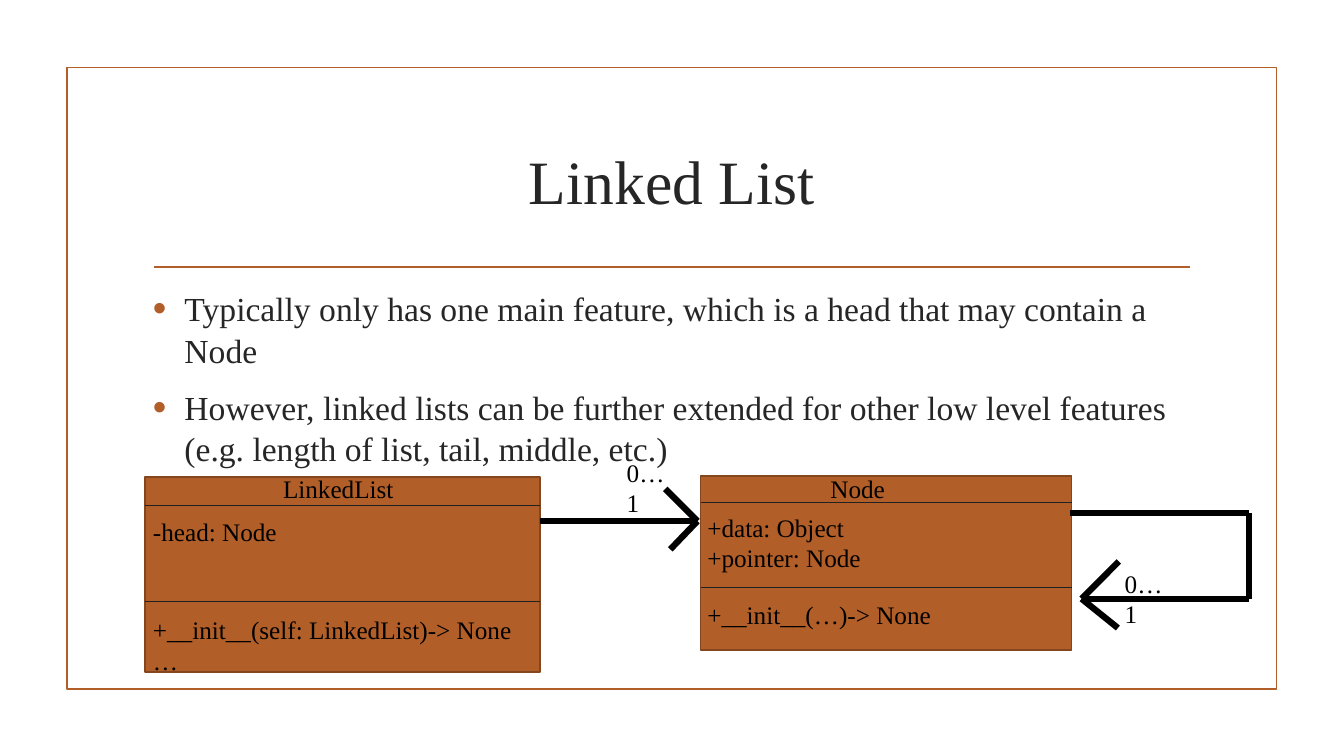
from lxml import etree
from pptx import Presentation
from pptx.dml.color import RGBColor
from pptx.enum import shapes, text
from pptx.oxml import ns
from pptx.util import Pt

FONT = "Times New Roman"
HUES = {"rust": "B15E28", "edge": "83461E", "rule": "212121",
        "ink": "262626", "black": "000000"}

# Content
TITLE = "Linked List"
POINTS = [
    "Typically only has one main feature, which is a head that may contain a Node",
    "However, linked lists can be further extended for other low level features "
    "(e.g. length of list, tail, middle, etc.)",
]
# Each class: box, divider heights, then texts as (left, top, width, lines)
CLASSES = [
    {"box": (103.7, 340.6, 282, 139.6), "rules": (361.4, 429.8),
     "texts": [(195.1, 334.8, 111, ["LinkedList"]),
               (102.2, 365, 137, ["-head: Node"]),
               (102.2, 435.6, 304, ["+__init__(self: LinkedList)-> None", "…"])]},
    {"box": (500.4, 339.8, 265, 124.6), "rules": (358.6, 419.8),
     "texts": [(586.1, 334.8, 80, ["Node"]),
               (498.2, 362.2, 129, ["+data: Object", "+pointer: Node"]),
               (498.2, 424.8, 286, ["+__init__(…)-> None"])]},
]
# Each arrow: path, the two barb ends, label place
ARROWS = [
    {"route": [(385.9, 372.2), (498.2, 372.2)],
     "barbs": [(475.2, 349.2), (478.8, 392.4)], "label": (440.6, 323.3)},
    {"route": [(764.6, 366.5), (892, 366.5), (892, 427.7), (772.6, 427.7)],
     "barbs": [(799.2, 401), (798.5, 448.6)], "label": (796.3, 402.5)},
]
COUNT = "0…1"


def hue(name):
    return RGBColor.from_string(HUES[name])


def add_run(para, words, size, color):
    run = para.add_run()
    run.text = words
    run.font.name, run.font.size = FONT, Pt(size)
    run.font.color.rgb = hue(color)


def add_text(left, top, width, height, lines, size=18, color="black"):
    frame = slide.shapes.add_textbox(
        Pt(left), Pt(top), Pt(width), Pt(height)).text_frame
    frame.word_wrap = True
    for i, words in enumerate(lines):
        para = frame.add_paragraph() if i else frame.paragraphs[0]
        add_run(para, words, size, color)
    return frame


def add_line(start, end, color, width):
    line = slide.shapes.add_connector(
        shapes.MSO_CONNECTOR.STRAIGHT, *map(Pt, start + end))
    line.line.color.rgb, line.line.width = hue(color), Pt(width)
    etree.SubElement(line._element.spPr, ns.qn("a:effectLst"))


def add_rect(box, fill, edge):
    rect = slide.shapes.add_shape(shapes.MSO_SHAPE.RECTANGLE, *map(Pt, box))
    rect.shadow.inherit = False
    if fill:
        rect.fill.solid()
        rect.fill.fore_color.rgb = hue(fill)
    else:
        rect.fill.background()
    rect.line.color.rgb, rect.line.width = hue(edge), Pt(1.25)


def add_bullet(para):
    props = para._p.get_or_add_pPr()
    props.set("marL", str(Pt(22.5)))
    props.set("indent", str(-Pt(22.5)))
    tint = etree.SubElement(props, ns.qn("a:buClr"))
    etree.SubElement(tint, ns.qn("a:srgbClr"), val=HUES["rust"])
    etree.SubElement(props, ns.qn("a:buSzPct"), val="115000")
    etree.SubElement(props, ns.qn("a:buFont"), typeface="Arial")
    etree.SubElement(props, ns.qn("a:buChar"), char="•")


deck = Presentation()
deck.slide_width, deck.slide_height = Pt(960), Pt(540)
slide = deck.slides.add_slide(deck.slide_layouts[5])

# Frame and title
add_rect((47.8, 48.2, 864, 444), None, "rust")
add_line((110.2, 190.8), (850.3, 190.8), "rust", 1.25)
title = slide.shapes.title
title.left, title.top, title.width, title.height = map(Pt, (102, 77, 756, 103))
title.text_frame.vertical_anchor = text.MSO_ANCHOR.MIDDLE
head = title.text_frame.paragraphs[0]
head.alignment = text.PP_ALIGN.CENTER
add_run(head, TITLE, 44, "ink")

# Bullets
for para in add_text(102.2, 201.6, 756, 261, POINTS, 24, "ink").paragraphs:
    para.line_spacing = 1.03
    para.space_before, para.space_after = Pt(4.8), Pt(6)
    add_bullet(para)

# Class boxes
for item in CLASSES:
    left, _, width, _ = item["box"]
    add_rect(item["box"], "rust", "edge")
    for y in item["rules"]:
        add_line((left, y), (left + width, y), "rule", 0.75)
    for x, y, wide, lines in item["texts"]:
        add_text(x, y, wide, 7.2 + 21.6 * len(lines), lines)

# Arrows with open heads
for arrow in ARROWS:
    route = arrow["route"]
    for start, end in zip(route, route[1:]):
        add_line(start, end, "black", 4.5)
    for barb in arrow["barbs"]:
        add_line(route[-1], barb, "black", 4.5)
    add_text(*arrow["label"], 49.7, 28.8, [COUNT])

deck.save("out.pptx")
